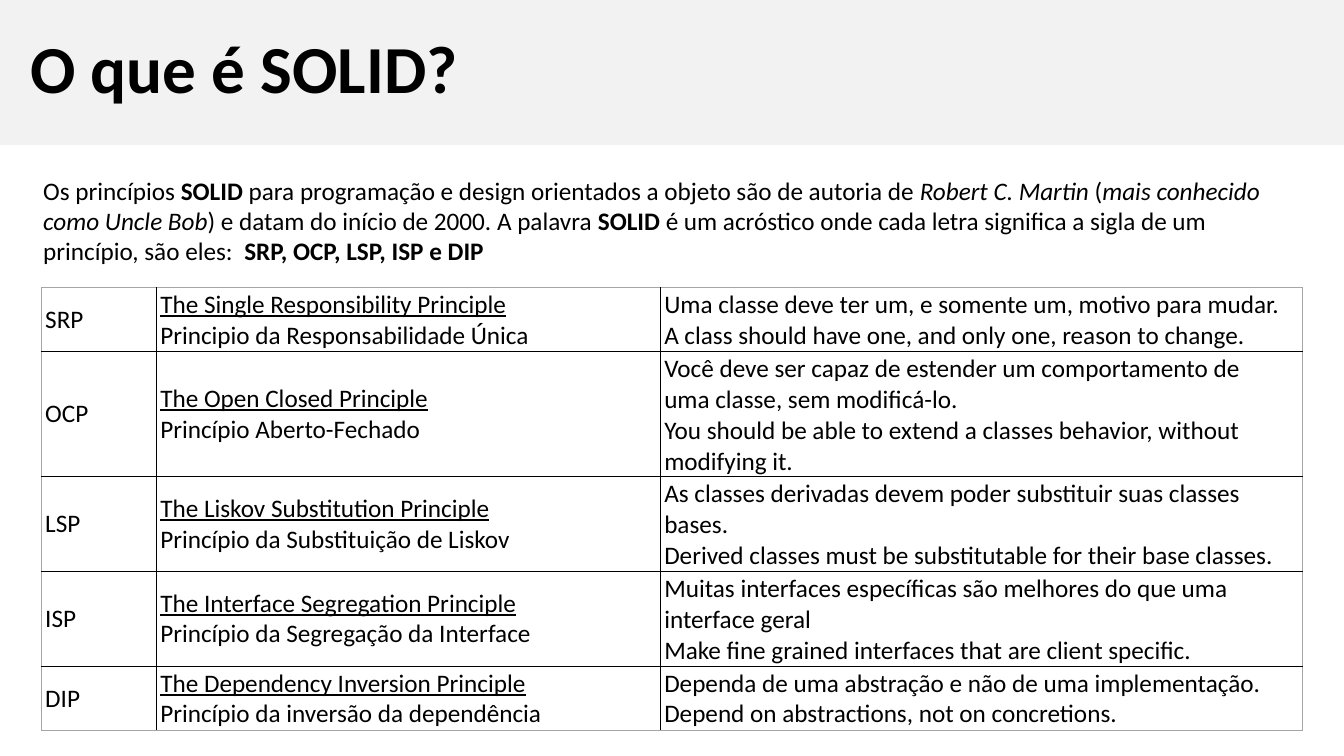
from dataclasses import dataclass

from lxml import etree
from pptx import Presentation
from pptx.dml.color import RGBColor
from pptx.enum.shapes import MSO_SHAPE
from pptx.enum.text import MSO_ANCHOR
from pptx.oxml.ns import qn
from pptx.util import Cm, Pt

RECTANGLE = MSO_SHAPE.RECTANGLE
MIDDLE, TOP = MSO_ANCHOR.MIDDLE, MSO_ANCHOR.TOP
NBSP = chr(160)


@dataclass(frozen=True)
class Theme:
    font: str = "Calibri"
    ink: str = "000000"
    paper: str = "FFFFFF"
    band: str = "F2F2F2"
    frame: str = "A6A6A6"
    title_size: int = 48
    body_size: int = 18
    rule: float = 1
    frame_rule: float = 0.5


class SlideBuilder:
    def __init__(self, slide, theme):
        self.shapes = slide.shapes
        self.theme = theme

    def panel(self, box, color, outlined=False):
        panel = self.shapes.add_shape(RECTANGLE, *map(Cm, box))
        panel.shadow.inherit = False
        panel.fill.solid()
        panel.fill.fore_color.rgb = RGBColor.from_string(color)
        if outlined:
            panel.line.color.rgb = RGBColor.from_string(color)
            panel.line.width = Pt(self.theme.rule)
        else:
            panel.line.fill.background()

    def add_runs(self, paragraph, runs, size):
        """Each run is (text, format); a line end becomes a line break."""
        for text, style in runs:
            for index, line in enumerate(text.split("\n")):
                if index:
                    paragraph.add_line_break()
                if not line:
                    continue
                run = paragraph.add_run()
                run.text = line
                run.font.color.rgb = RGBColor.from_string(self.theme.ink)
                values = {"name": self.theme.font, "size": Pt(size), **style}
                for key, value in values.items():
                    setattr(run.font, key, value)

    def text(self, box, runs, size, anchor=TOP, spacing=None):
        frame = self.shapes.add_textbox(*map(Cm, box)).text_frame
        frame.word_wrap = True
        frame.vertical_anchor = anchor
        paragraph = frame.paragraphs[0]
        paragraph.line_spacing = spacing
        self.add_runs(paragraph, runs, size)

    def border(self, cell, side, color, width):
        line = etree.SubElement(cell._tc.get_or_add_tcPr(), qn(f"a:ln{side}"),
                                w=str(Pt(width)))
        fill = etree.SubElement(line, qn("a:solidFill"))
        etree.SubElement(fill, qn("a:srgbClr"), val=color)

    def table(self, left, top, widths, heights, rows):
        theme = self.theme
        table = self.shapes.add_table(
            len(rows), len(widths), Cm(left), Cm(top),
            Cm(sum(widths)), Cm(sum(heights))).table
        table.first_row = table.horz_banding = False
        for column, width in zip(table.columns, widths):
            column.width = Cm(width)
        cell_format = {"vertical_anchor": MIDDLE,
                       "margin_left": Cm(0.1), "margin_right": Cm(0.1),
                       "margin_top": Cm(0.05), "margin_bottom": Cm(0.05)}
        for r, row in enumerate(rows):
            table.rows[r].height = Cm(heights[r])
            for c, runs in enumerate(row):
                cell = table.cell(r, c)
                for key, value in cell_format.items():
                    setattr(cell, key, value)
                self.add_runs(cell.text_frame.paragraphs[0], runs,
                              theme.body_size)
                outer = {"L": c == 0, "R": c == len(widths) - 1,
                         "T": r == 0, "B": r == len(rows) - 1}
                for side, is_outer in outer.items():
                    if is_outer:
                        self.border(cell, side, theme.frame, theme.frame_rule)
                    else:
                        self.border(cell, side, theme.ink, theme.rule)
                cell.fill.background()


BOLD, ITALIC, UNDERLINED, PLAIN = (
    {"bold": True}, {"italic": True}, {"underline": True}, {})

INTRO = [
    ("Os princípios ", PLAIN),
    ("SOLID", BOLD),
    (" para programação e design orientados a objeto são de autoria de ", PLAIN),
    ("Robert C. Martin", ITALIC),
    (" (", PLAIN),
    ("mais conhecido como Uncle Bob", ITALIC),
    (") e datam do início de 2000. A palavra ", PLAIN),
    ("SOLID", BOLD),
    (" é um acróstico onde cada letra significa a sigla de um princípio, "
     f"são eles: {NBSP}", PLAIN),
    ("SRP, OCP, LSP, ISP e DIP", BOLD),
]

# Acronym, English name, Portuguese name, both definitions, lines of text
PRINCIPLES = [
    ("SRP", "The Single Responsibility Principle",
     "Principio da Responsabilidade Única",
     "Uma classe deve ter um, e somente um, motivo para mudar.\n"
     "A class should have one, and only one, reason to change.", 2),
    ("OCP", "The Open Closed Principle", "Princípio Aberto-Fechado",
     "Você deve ser capaz de estender um comportamento de "
     f"uma{NBSP}classe, sem modificá-lo.\n"
     "You should be able to extend a classes behavior, without modifying it.", 4),
    ("LSP", "The Liskov Substitution Principle",
     "Princípio da Substituição de Liskov",
     "As classes derivadas devem poder substituir suas classes bases.\n"
     "Derived classes must be substitutable for their base classes.", 3),
    ("ISP", "The Interface Segregation Principle",
     "Princípio da Segregação da Interface",
     "Muitas interfaces específicas são melhores do que uma interface geral\n"
     "Make fine grained interfaces that are client specific.", 3),
    ("DIP", "The Dependency Inversion Principle",
     "Princípio da inversão da dependência",
     "Dependa de uma abstração e não de uma implementação.\n"
     "Depend on abstractions, not on concretions.", 2),
]


def main():
    deck = Presentation()
    deck.slide_width, deck.slide_height = Cm(33.87), Cm(19.05)
    theme = Theme()
    page = SlideBuilder(deck.slides.add_slide(deck.slide_layouts[6]), theme)

    # Title band and white body
    page.panel((0, 0, 33.87, 3.94), theme.band)
    page.text((0.51, 0.74, 33.36, 2.13), [("O que é SOLID?", BOLD)],
              theme.title_size, MIDDLE, 0.9)
    page.panel((0, 3.66, 33.87, 15.39), theme.paper, outlined=True)

    # Introduction
    page.text((0.84, 4.29, 31.98, 3.33), INTRO, theme.body_size)

    # Principles: row height follows the number of text lines
    rows = [([(acronym, PLAIN)],
             [(english + "\n", UNDERLINED), (portuguese, PLAIN)],
             [(definitions, PLAIN)])
            for acronym, english, portuguese, definitions, _ in PRINCIPLES]
    heights = [0.77 * principle[-1] + 0.06 for principle in PRINCIPLES]
    page.table(1.04, 7.24, (2.9, 12.7, 16.18), heights, rows)

    deck.save("out.pptx")


if __name__ == "__main__":
    main()
